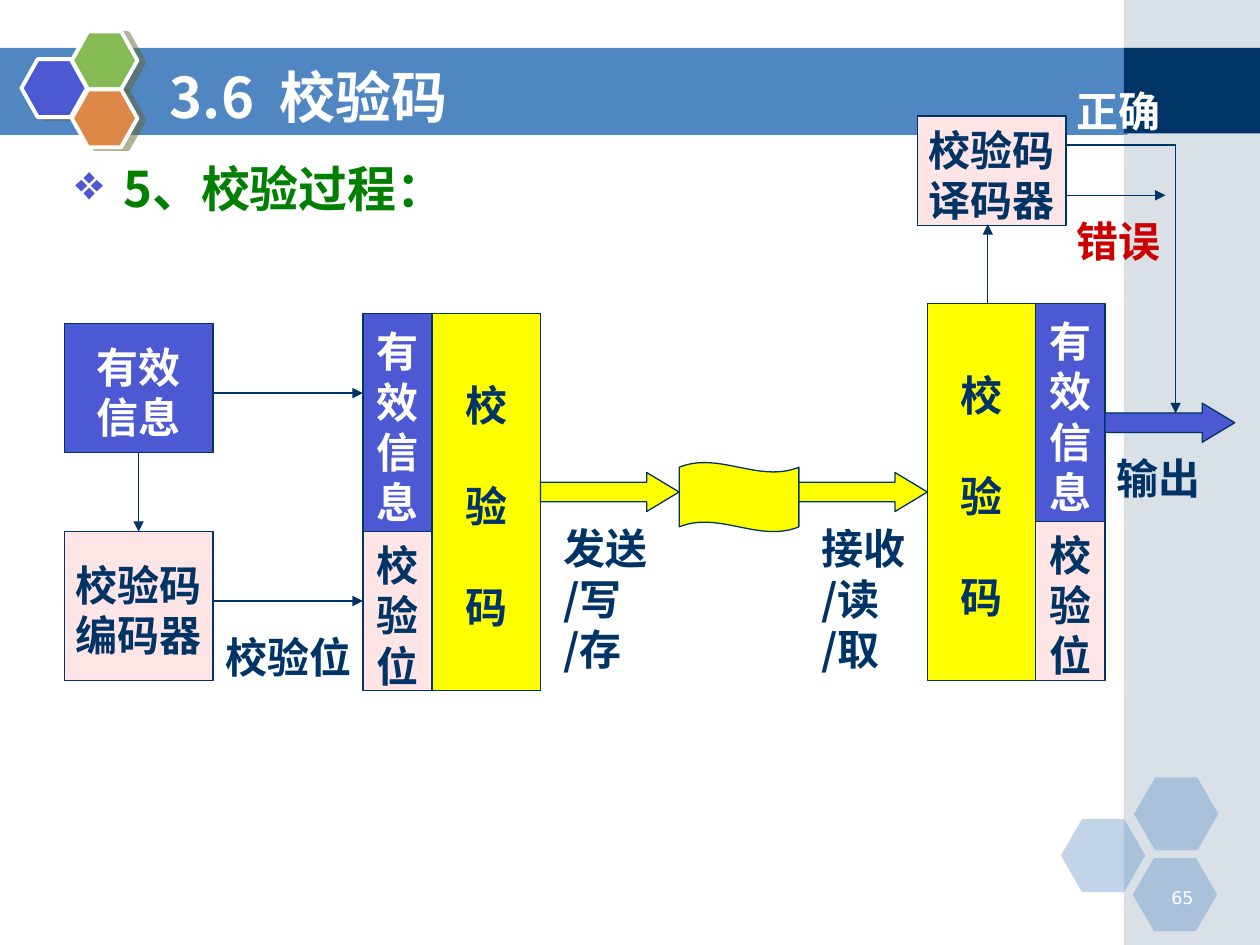
from dataclasses import dataclass

from lxml.etree import SubElement
from pptx import Presentation
from pptx.dml.color import RGBColor
from pptx.enum.shapes import MSO_CONNECTOR as Connector, MSO_SHAPE as Shape
from pptx.enum.text import MSO_ANCHOR as Anchor, PP_ALIGN as Align
from pptx.oxml.ns import qn
from pptx.util import Inches, Pt


@dataclass(frozen=True)
class Theme:
    navy: str = "003366"
    blue: str = "4C59D2"
    band: str = "5086C2"
    panel: str = "A0B5C4"
    yellow: str = "FFFF00"
    pink: str = "FFE5E5"
    white: str = "FFFFFF"
    green: str = "008000"
    red: str = "CC0000"
    leaf: str = "85BA54"
    orange: str = "DE8848"
    shade: str = "666633"
    font: str = "Noto Sans CJK SC"
    number_font: str = "DejaVu Sans"
    title: int = 32
    heading: int = 28
    body: int = 24
    small: int = 10
    leading: float = 1.2
    line: float = 0.75


THEME = Theme()
WIDTH, HEIGHT = 10, 7.5

# Columns (left edges) and rows (top edges) of the flow, in inches
SOURCE, SENDER, RECEIVER = 0.51, 2.88, 7.36
SENDER_TOP, RECEIVER_TOP = 2.49, 2.41
BOX_WIDTH, PART_WIDTH, CODE_WIDTH = 1.18, 0.55, 0.86
INFO_HEIGHT, CHECK_HEIGHT = 1.73, 1.26
SENDER_CODE = SENDER + PART_WIDTH
SENDER_RIGHT = SENDER_CODE + CODE_WIDTH
RECEIVER_PART = RECEIVER + CODE_WIDTH
RECEIVER_RIGHT = RECEIVER_PART + PART_WIDTH
SOURCE_RIGHT = SOURCE + BOX_WIDTH
MEDIUM, MEDIUM_RIGHT = 5.39, 6.34
DECODER, DECODER_TOP, DECODER_HEIGHT = 7.28, 0.92, 0.87
DECODER_RIGHT = DECODER + BOX_WIDTH
RETURN = 9.33
PANEL = 8.92

# place, lines, fill, font colour
BOXES = [
    ((SOURCE, 2.57, BOX_WIDTH, 1.02), ["有效", "信息"], THEME.blue, THEME.white),
    ((SOURCE, 4.22, BOX_WIDTH, 1.18), ["校验码", "编码器"], THEME.pink, THEME.navy),
    ((DECODER, DECODER_TOP, BOX_WIDTH, DECODER_HEIGHT), ["校验码", "译码器"], THEME.pink, THEME.navy),
]
# left of the code column, left of the part column, top
CODE_WORDS = [(SENDER_CODE, SENDER, SENDER_TOP), (RECEIVER, RECEIVER_PART, RECEIVER_TOP)]

# place, lines, colour, side inset
LABELS = [
    ((SOURCE_RIGHT, 4.93, 1.5, 0.5), ["校验位"], THEME.navy, 0.1),
    ((4.37, 4.07, 0.95, 1.3), ["发送", "/写", "/存"], THEME.navy, 0.1),
    ((6.42, 4.07, 0.95, 1.3), ["接收", "/读", "/取"], THEME.navy, 0.1),
    ((8.54, 0.6, 0.71, 0.5), ["正确"], THEME.white, 0),
    ((8.54, 1.63, 0.71, 0.5), ["错误"], THEME.red, 0),
    ((8.86, 3.51, 0.71, 0.5), ["输出"], THEME.navy, 0),
]
# start, end, has arrowhead
LINES = [
    ((1.1, 3.59), (1.1, 4.22), True),
    ((SOURCE_RIGHT, 3.12), (SENDER, 3.12), True),
    ((SOURCE_RIGHT, 4.77), (SENDER, 4.77), True),
    ((7.84, RECEIVER_TOP), (7.84, 1.78), True),
    ((DECODER_RIGHT, 1.55), (9.25, 1.55), True),
    ((DECODER_RIGHT, 1.15), (RETURN, 1.15), False),
    ((RETURN, 1.15), (RETURN, 3.28), True),
]
# left, right, top, fill
BLOCK_ARROWS = [
    (SENDER_RIGHT, MEDIUM, 3.75, THEME.yellow),
    (MEDIUM_RIGHT, RECEIVER, 3.75, THEME.yellow),
    (RECEIVER_RIGHT, 9.8, 3.2, THEME.blue),
]
CORNER_HEXAGONS = [(8.42, 6.5), (9, 6.17), (8.99, 6.81)]
HEADER_HEXAGONS = [(0.17, 0.47, THEME.blue), (0.57, 0.25, THEME.leaf), (0.57, 0.71, THEME.orange)]


def rgb(value):
    return RGBColor.from_string(value)


def add_color(parent, value, alpha):
    color = SubElement(parent, qn("a:srgbClr"), val=value)
    SubElement(color, qn("a:alpha"), val=str(alpha * 1000))


def add_shape(slide, kind, place, fill, line=None, line_width=THEME.line, alpha=None, adjust=()):
    shape = slide.shapes.add_shape(kind, *map(Inches, place))
    shape.shadow.inherit = False
    shape.fill.solid()
    shape.fill.fore_color.rgb = rgb(fill)
    if alpha:
        solid = shape._element.spPr.find(qn("a:solidFill"))
        solid.remove(solid[0])
        add_color(solid, fill, alpha)
    if line:
        shape.line.color.rgb = rgb(line)
        shape.line.width = Pt(line_width)
    else:
        shape.line.fill.background()
    for index, value in enumerate(adjust):
        shape.adjustments[index] = value
    return shape


def write(shape, lines, color, size=THEME.body, font=THEME.font, bold=True,
          align=Align.LEFT, anchor=Anchor.TOP, side=0.1, wrap=True, gap=0):
    frame = shape.text_frame
    frame.text = "\n".join(lines)
    frame.word_wrap = wrap
    frame.vertical_anchor = anchor
    frame.margin_left = frame.margin_right = Inches(side)
    # Uneven insets centre the tall glyphs within the fixed leading
    frame.margin_top, frame.margin_bottom = Inches(0.08), Inches(0.02)
    for index, paragraph in enumerate(frame.paragraphs):
        paragraph.alignment = align
        paragraph.line_spacing = Pt(size * THEME.leading)
        paragraph.space_before = Pt(gap if index else 0)
        for run in paragraph.runs:
            run.font.size, run.font.bold, run.font.name = Pt(size), bold, font
            run.font.color.rgb = rgb(color)
            SubElement(run._r.get_or_add_rPr(), qn("a:ea"), typeface=font)
    return frame


def add_label(slide, place, lines, color, **style):
    return write(slide.shapes.add_textbox(*map(Inches, place)), lines, color, **style)


def add_box(slide, place, lines, fill, color, gap=0):
    shape = add_shape(slide, Shape.RECTANGLE, place, fill, THEME.navy)
    write(shape, lines, color, align=Align.CENTER, anchor=Anchor.MIDDLE, wrap=False, gap=gap)


def add_line(slide, start, end, arrow):
    line = slide.shapes.add_connector(Connector.STRAIGHT, *map(Inches, start + end))
    line.line.color.rgb = rgb(THEME.navy)
    line.line.width = Pt(THEME.line)
    if arrow:
        SubElement(line.line._get_or_add_ln(), qn("a:tailEnd"), type="triangle")
    SubElement(line._element.spPr, qn("a:effectLst"))


def add_backdrop(slide):
    add_shape(slide, Shape.RECTANGLE, (0, 0.38, PANEL + 0.03, 0.69), THEME.band)
    add_shape(slide, Shape.RECTANGLE, (PANEL, 0, WIDTH - PANEL, HEIGHT), THEME.panel, alpha=40)
    add_shape(slide, Shape.RECTANGLE, (PANEL, 0.38, WIDTH - PANEL, 0.68), THEME.navy)
    for left, top in CORNER_HEXAGONS:
        add_shape(slide, Shape.HEXAGON, (left, top, 0.67, 0.58), THEME.band, alpha=35, adjust=[0.29])
    for left, top, fill in HEADER_HEXAGONS:
        shape = add_shape(slide, Shape.HEXAGON, (left, top, 0.52, 0.46), fill,
                          THEME.white, 2.25, adjust=[0.28])
        effects = shape._element.spPr.find(qn("a:effectLst"))
        shadow = SubElement(effects, qn("a:outerShdw"), dist=str(Pt(4.1)), dir=str(14 * 60000))
        add_color(shadow, THEME.shade, 50)


def add_headings(slide):
    add_label(slide, (1.25, 0.42, 7.33, 0.62), ["3.6  校验码"], THEME.white,
              size=THEME.title, anchor=Anchor.MIDDLE)
    heading = add_label(slide, (0.5, 1.18, 8.27, 0.9), ["5、校验过程："], THEME.green, size=THEME.heading)
    properties = heading.paragraphs[0]._p.get_or_add_pPr()
    indent = Inches(0.38)
    properties.set("marL", str(indent))
    properties.set("indent", str(-indent))
    SubElement(SubElement(properties, qn("a:buClr")), qn("a:srgbClr"), val=THEME.blue)
    SubElement(properties, qn("a:buChar"), char="❖")
    add_label(slide, (9.07, 6.96, 0.5, 0.25), ["65"], THEME.white, size=THEME.small,
              font=THEME.number_font, bold=False, align=Align.RIGHT)


def add_flow(slide):
    for box in BOXES:
        add_box(slide, *box)
    for code_left, part_left, top in CODE_WORDS:
        add_box(slide, (code_left, top, CODE_WIDTH, INFO_HEIGHT + CHECK_HEIGHT), list("校验码"),
                THEME.yellow, THEME.navy, gap=THEME.body * THEME.leading)
        add_box(slide, (part_left, top, PART_WIDTH, INFO_HEIGHT), list("有效信息"), THEME.blue, THEME.white)
        add_box(slide, (part_left, top + INFO_HEIGHT, PART_WIDTH, CHECK_HEIGHT), list("校验位"),
                THEME.pink, THEME.navy)
    add_shape(slide, Shape.WAVE, (MEDIUM, 3.67, MEDIUM_RIGHT - MEDIUM, 0.55), THEME.yellow,
              THEME.navy, adjust=[0.07])
    for left, right, top, fill in BLOCK_ARROWS:
        add_shape(slide, Shape.RIGHT_ARROW, (left, top, right - left, 0.31), fill,
                  THEME.navy, adjust=[0.5, 0.83])
    for line in LINES:
        add_line(slide, *line)
    for place, lines, color, side in LABELS:
        add_label(slide, place, lines, color, side=side)


def main():
    presentation = Presentation()
    presentation.slide_width, presentation.slide_height = Inches(WIDTH), Inches(HEIGHT)
    slide = presentation.slides.add_slide(presentation.slide_layouts[6])
    add_backdrop(slide)
    add_headings(slide)
    add_flow(slide)
    presentation.save("out.pptx")


if __name__ == "__main__":
    main()
